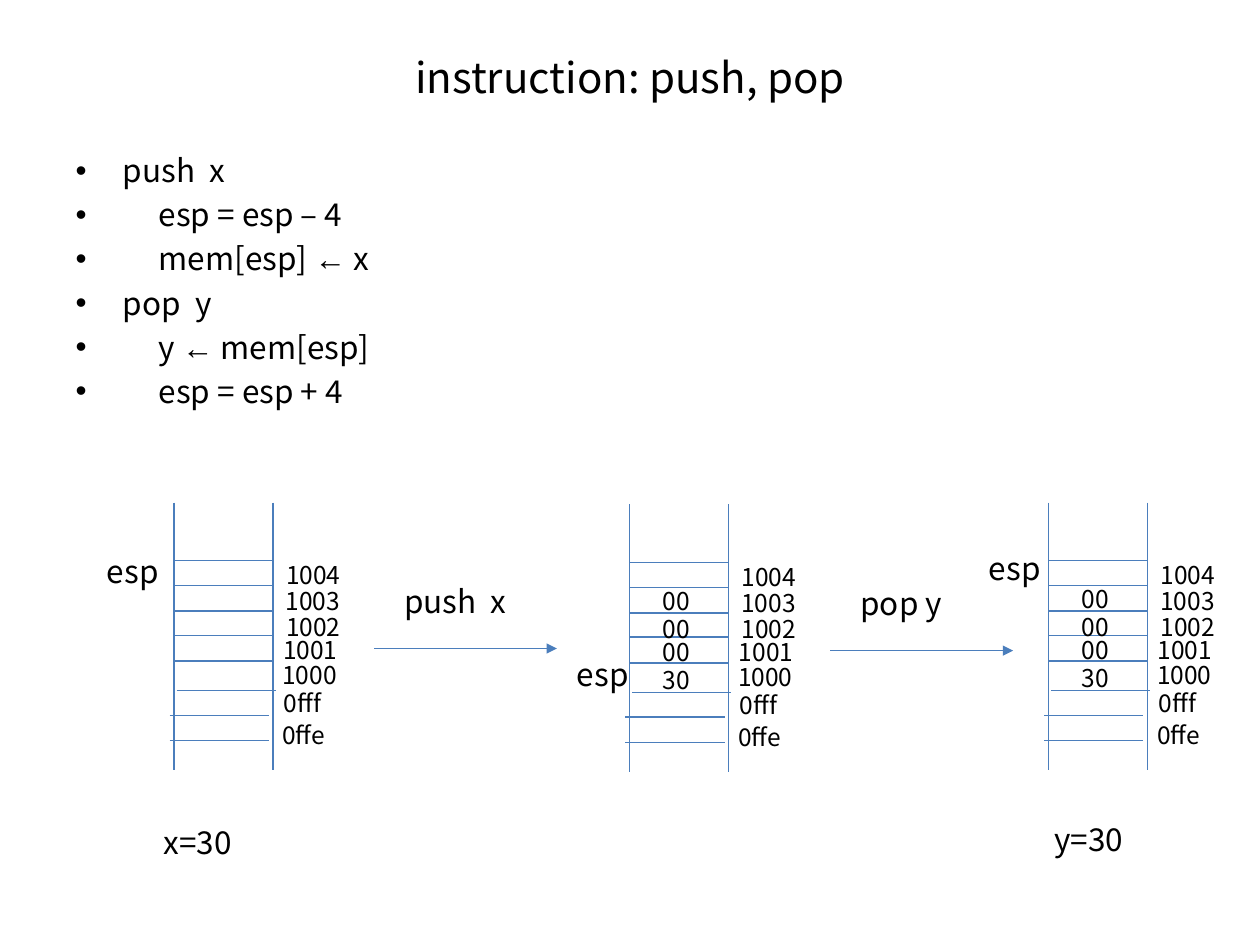
from lxml import etree
from pptx import Presentation
from pptx.dml.color import RGBColor
from pptx.enum.shapes import MSO_CONNECTOR as CONN
from pptx.enum.text import MSO_ANCHOR as ANCHOR, MSO_AUTO_SIZE as AUTO, PP_ALIGN as ALIGN
from pptx.oxml.ns import qn
from pptx.util import Pt

FONT = "Noto Sans CJK KR"
BLACK, BLUE = "000000", "4B7EBC"

# Stack geometry, relative to the upper left corner of a stack
STACK_W, STACK_H = 56.6, 153
RUNGS = [(0, 33), (0, 47.5), (0, 62), (0, 75.8), (0, 90.5),
         (1.6, 107.3), (-2.4, 121.5), (-2.4, 136)]
ADDRESSES = [("1004", 57, 29.5), ("1003", 56.7, 44), ("1002", 57, 59.2),
             ("1001", 55.3, 72.2), ("1000", 54.9, 86.5),
             ("0fff", 55.8, 102.2), ("0ffe", 54.9, 121)]
BYTES = [("00", 43), ("00", 59), ("00", 72.3), ("30", 88)]

# Left, top, esp label position, filled with bytes
STACKS = [(99.4, 287.2, 54, 311.8, False),
          (359.8, 288.3, 322.6, 370.8, True),
          (599.2, 287.2, 558, 310.3, True)]
ARROWS = [(213.8, 370.6), (474.5, 371.8)]
CAPTIONS = [("push  x", 223.9, 329), ("pop y", 484.6, 330),
            ("x=30", 86.4, 466.6), ("y=30", 595.4, 465.1)]

# Indented or not, then the runs; arrows are set in Arial
BODY = [(False, ["push  x"]),
        (True, ["esp = esp – 4"]),
        (True, ["mem[esp] ", "←", " x"]),
        (False, ["pop  y"]),
        (True, ["y ", "←", " mem[esp]"]),
        (True, ["esp = esp + 4"])]


def colour(hex_value):
    return RGBColor.from_string(hex_value)


def add_run(p, text, size, font=FONT):
    r = p.add_run()
    r.text = text
    r.font.name = font
    r.font.size = Pt(size)
    r.font.color.rgb = colour(BLACK)


def place(sp, x, y, w, h):
    sp.left, sp.top, sp.width, sp.height = Pt(x), Pt(y), Pt(w), Pt(h)


def add_label(s, text, x, y, w, size):
    h = 28.8 if size == 18 else 24.2
    tf = s.shapes.add_textbox(Pt(x), Pt(y), Pt(w), Pt(h)).text_frame
    tf.word_wrap = True
    tf.auto_size = AUTO.SHAPE_TO_FIT_TEXT
    add_run(tf.paragraphs[0], text, size)


def add_line(s, x1, y1, x2, y2, arrow=False):
    line = s.shapes.add_connector(CONN.STRAIGHT, Pt(x1), Pt(y1), Pt(x2), Pt(y2))
    line.line.color.rgb = colour(BLUE)
    line.line.width = Pt(0.75)
    if arrow:
        ln = line.line._get_or_add_ln()
        etree.SubElement(ln, qn("a:tailEnd"), type="triangle")
    etree.SubElement(line._element.spPr, qn("a:effectLst"))


def add_title(s, text):
    sp = s.shapes.title
    place(sp, 36, 21.6, 648, 43.9)
    tf = sp.text_frame
    tf.auto_size = AUTO.NONE
    tf.vertical_anchor = ANCHOR.MIDDLE
    p = tf.paragraphs[0]
    p.alignment = ALIGN.CENTER
    add_run(p, text, 24)


def add_body(s, lines):
    sp = s.placeholders[1]
    place(sp, 36, 82.8, 648, 169.9)
    tf = sp.text_frame
    tf.auto_size = AUTO.NONE
    for i, (indented, runs) in enumerate(lines):
        p = tf.paragraphs[0] if i == 0 else tf.add_paragraph()
        p.alignment = ALIGN.JUSTIFY
        p.space_before = Pt(3.6)
        margin = Pt(47.5 if indented else 27)
        pPr = p._p.get_or_add_pPr()
        pPr.set("marL", str(margin))
        pPr.set("indent", str(-margin))
        etree.SubElement(pPr, qn("a:buFont"), typeface="Arial")
        etree.SubElement(pPr, qn("a:buChar"), char="•")
        for text in runs:
            add_run(p, text, 18, "Arial" if text == "←" else FONT)


def add_stack(s, x, y, esp_x, esp_y, filled):
    # Side walls and cell borders
    for wall in (x, x + STACK_W):
        add_line(s, wall, y, wall, y + STACK_H)
    for dx, dy in RUNGS:
        add_line(s, x + dx, y + dy, x + dx + STACK_W, y + dy)
    # Addresses, contents and stack pointer
    for text, dx, dy in ADDRESSES:
        add_label(s, text, x + dx, y + dy, 56.7, 14)
    if filled:
        for text, dy in BYTES:
            add_label(s, text, x + 12, y + dy, 56.7, 14)
    add_label(s, "esp", esp_x, esp_y, 51, 18)


def main():
    prs = Presentation()
    prs.slide_width, prs.slide_height = Pt(720), Pt(540)
    s = prs.slides.add_slide(prs.slide_layouts[1])
    # Text
    add_title(s, "instruction: push, pop")
    add_body(s, BODY)
    # Stack states
    for stack in STACKS:
        add_stack(s, *stack)
    # Transitions and captions
    for x, y in ARROWS:
        add_line(s, x, y, x + 104.5, y, arrow=True)
    for text, x, y in CAPTIONS:
        add_label(s, text, x, y, 77, 18)
    prs.save("out.pptx")


main()
